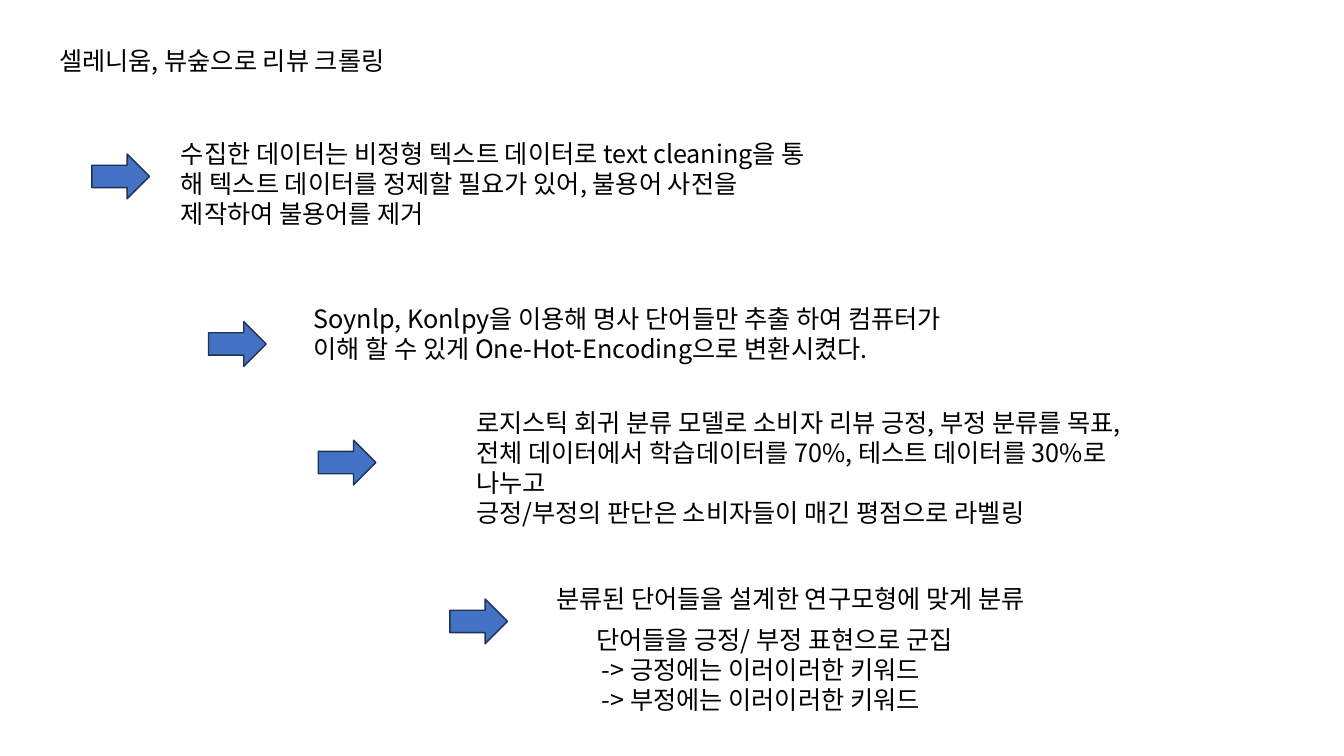
from dataclasses import dataclass

from lxml.etree import SubElement
from pptx import Presentation
from pptx.dml.color import RGBColor
from pptx.enum.shapes import MSO_SHAPE
from pptx.enum.text import MSO_ANCHOR, MSO_AUTO_SIZE, PP_ALIGN
from pptx.oxml.ns import qn
from pptx.util import Pt


@dataclass(frozen=True)
class Theme:
    font: str = "Noto Sans CJK KR"
    body_size: float = 18
    line_spacing: float = 21.5
    text_color: str = "000000"
    arrow_fill: str = "4472C4"
    arrow_line: str = "1E3256"
    arrow_line_width: float = 1


TEXT_WIDTH = 479.8
LINE_HEIGHT = 21.8
VERTICAL_INSETS = 7.2
ARROW_WIDTH = 41.2
ARROW_HEIGHT = 32

TEXTS = [
    (35.2, 28.8, 1, ["셀레니움, 뷰숲으로 리뷰 크롤링"]),
    (122.2, 95.3, 3, [
        "수집한 데이터는 비정형 텍스트 데이터로 text cleaning을 통 해 "
        "텍스트 데이터를 정제할 필요가 있어, 불용어 사전을 제작하여 불용어를 제거",
    ]),
    (216.8, 213.2, 2, [
        "Soynlp, Konlpy을 이용해 명사 단어들만 추출 하여 컴퓨터가 "
        "이해 할 수 있게 One-Hot-Encoding으로 변환시켰다.",
    ]),
    (333.1, 287.3, 4, [
        "로지스틱 회귀 분류 모델로 소비자 리뷰 긍정, 부정 분류를 목표, "
        "전체 데이터에서 학습데이터를 70%, 테스트 데이터를 30%로 나누고",
        "긍정/부정의 판단은 소비자들이 매긴 평점으로 라벨링",
    ]),
    (390.2, 413.3, 1, ["분류된 단어들을 설계한 연구모형에 맞게 분류"]),
    (418.7, 442.4, 3, [
        "단어들을 긍정/ 부정 표현으로 군집",
        " -> 긍정에는 이러이러한 키워드",
        " -> 부정에는 이러이러한 키워드",
    ]),
]

ARROWS = [(65.6, 110), (148.9, 229.7), (227.3, 314.4), (321.3, 427.9)]


def write_text(paragraph, text, *, font, size, color, line_spacing):
    paragraph.alignment = PP_ALIGN.LEFT
    paragraph.line_spacing = Pt(line_spacing)
    run = paragraph.add_run()
    run.text = text
    run.font.name = font
    run.font.size = Pt(size)
    run.font.color.rgb = RGBColor.from_string(color)
    SubElement(run.font._element, qn("a:ea"), typeface=font)


class SlideBuilder:
    def __init__(self, slide, theme):
        self.slide = slide
        self.theme = theme

    def text(self, left, top, line_count, lines):
        height = line_count * LINE_HEIGHT + VERTICAL_INSETS
        box = self.slide.shapes.add_textbox(
            Pt(left), Pt(top), Pt(TEXT_WIDTH), Pt(height)
        )
        frame = box.text_frame
        frame.word_wrap = True
        frame.auto_size = MSO_AUTO_SIZE.SHAPE_TO_FIT_TEXT
        frame.vertical_anchor = MSO_ANCHOR.TOP
        for index, line in enumerate(lines):
            paragraph = frame.add_paragraph() if index else frame.paragraphs[0]
            write_text(
                paragraph,
                line,
                font=self.theme.font,
                size=self.theme.body_size,
                color=self.theme.text_color,
                line_spacing=self.theme.line_spacing,
            )

    def arrow(self, left, top):
        shape = self.slide.shapes.add_shape(
            MSO_SHAPE.RIGHT_ARROW,
            Pt(left), Pt(top), Pt(ARROW_WIDTH), Pt(ARROW_HEIGHT),
        )
        shape.shadow.inherit = False
        shape.fill.solid()
        shape.fill.fore_color.rgb = RGBColor.from_string(self.theme.arrow_fill)
        shape.line.color.rgb = RGBColor.from_string(self.theme.arrow_line)
        shape.line.width = Pt(self.theme.arrow_line_width)


def main():
    presentation = Presentation()
    presentation.slide_width = Pt(960)
    presentation.slide_height = Pt(540)
    slide = presentation.slides.add_slide(presentation.slide_layouts[6])
    builder = SlideBuilder(slide, Theme())
    for text in TEXTS:
        builder.text(*text)
    for arrow in ARROWS:
        builder.arrow(*arrow)
    presentation.save("out.pptx")


if __name__ == "__main__":
    main()
